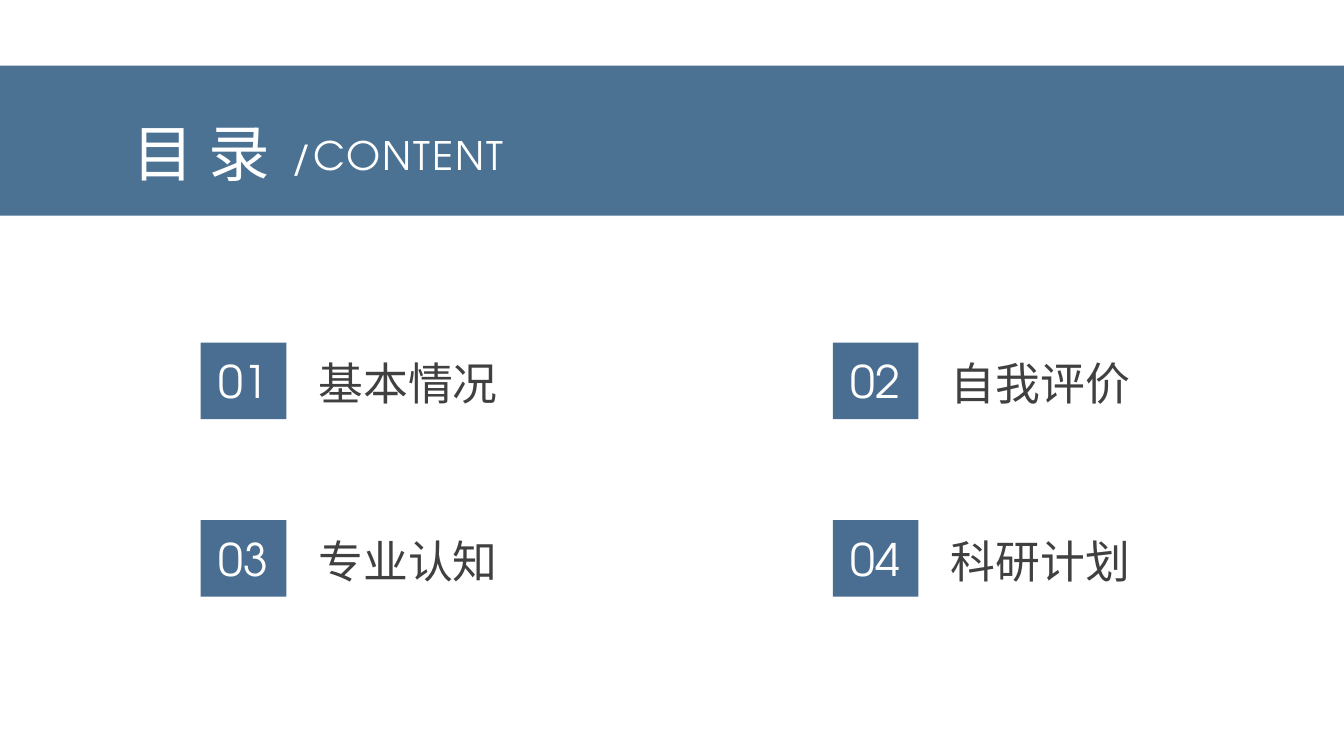
from lxml import etree
from pptx import Presentation
from pptx import util as u
from pptx.dml.color import RGBColor
from pptx.enum import shapes, text
from pptx.oxml.ns import qn

# Content
TITLE, SUBTITLE = "目 录", "/CONTENT"
CHAPTERS = ["基本情况", "自我评价", "专业认知", "科研计划"]

# Style
COLORS = {"band": "1F4E79", "badge": "496E91", "label": "404040", "white": "FFFFFF"}
FONT = "TeX Gyre Adventor"

# Grid in inches
SLIDE_W, SLIDE_H = 13.33, 7.5
COLUMNS = 2
GRID_LEFT, GRID_TOP = 1.99, 3.4
COLUMN_STEP, ROW_STEP = 6.27, 1.76
BADGE_W, BADGE_H = 0.85, 0.76
LABEL_DX, LABEL_W, LABEL_H = 1.07, 2, 0.64

prs = Presentation()
prs.slide_width, prs.slide_height = u.Inches(SLIDE_W), u.Inches(SLIDE_H)
s = prs.slides.add_slide(prs.slide_layouts[6])


def add_rect(x, y, w, h, color):
    sp = s.shapes.add_shape(shapes.MSO_SHAPE.RECTANGLE, *map(u.Inches, (x, y, w, h)))
    sp.shadow.inherit = False
    sp.fill.solid()
    sp.fill.fore_color.rgb = RGBColor.from_string(COLORS[color])
    sp.line.fill.background()
    return sp


def write(sp, words, size, color, align=text.PP_ALIGN.LEFT, wrap=True):
    tf = sp.text_frame
    tf.text = words
    tf.word_wrap = wrap
    tf.vertical_anchor = text.MSO_ANCHOR.MIDDLE
    p = tf.paragraphs[0]
    p.alignment = align
    r = p.runs[0]
    r.font.size, r.font.name = u.Pt(size), FONT
    r.font.color.rgb = RGBColor.from_string(COLORS[color])
    return r


def add_text(x, y, w, h, words, size, color, wrap=True):
    sp = s.shapes.add_textbox(*map(u.Inches, (x, y, w, h)))
    return write(sp, words, size, color, wrap=wrap)


# Header band, 80% opaque
band = add_rect(0, 0.65, SLIDE_W, 1.49, "band")
tint = band.fill._xPr.find(qn("a:solidFill"))[0]
etree.SubElement(tint, qn("a:alpha")).set("val", "80000")

# Heading, with the subtitle letter-spaced
r = add_text(2.79, 1.25, 2.66, 0.57, SUBTITLE, 28, "white")
r.font._element.set("spc", "150")
add_text(1.22, 1.1, 1.79, 0.81, TITLE, 44, "white")

# Numbered chapters
for i, chapter in enumerate(CHAPTERS):
    row, col = divmod(i, COLUMNS)
    x, y = GRID_LEFT + col * COLUMN_STEP, GRID_TOP + row * ROW_STEP
    badge = add_rect(x, y, BADGE_W, BADGE_H, "badge")
    write(badge, f"{i + 1:02d}", 32, "white", text.PP_ALIGN.CENTER)
    label_y = y + (BADGE_H - LABEL_H) / 2 + 0.02
    add_text(x + LABEL_DX, label_y, LABEL_W, LABEL_H, chapter, 32, "label", wrap=False)

prs.save("out.pptx")
